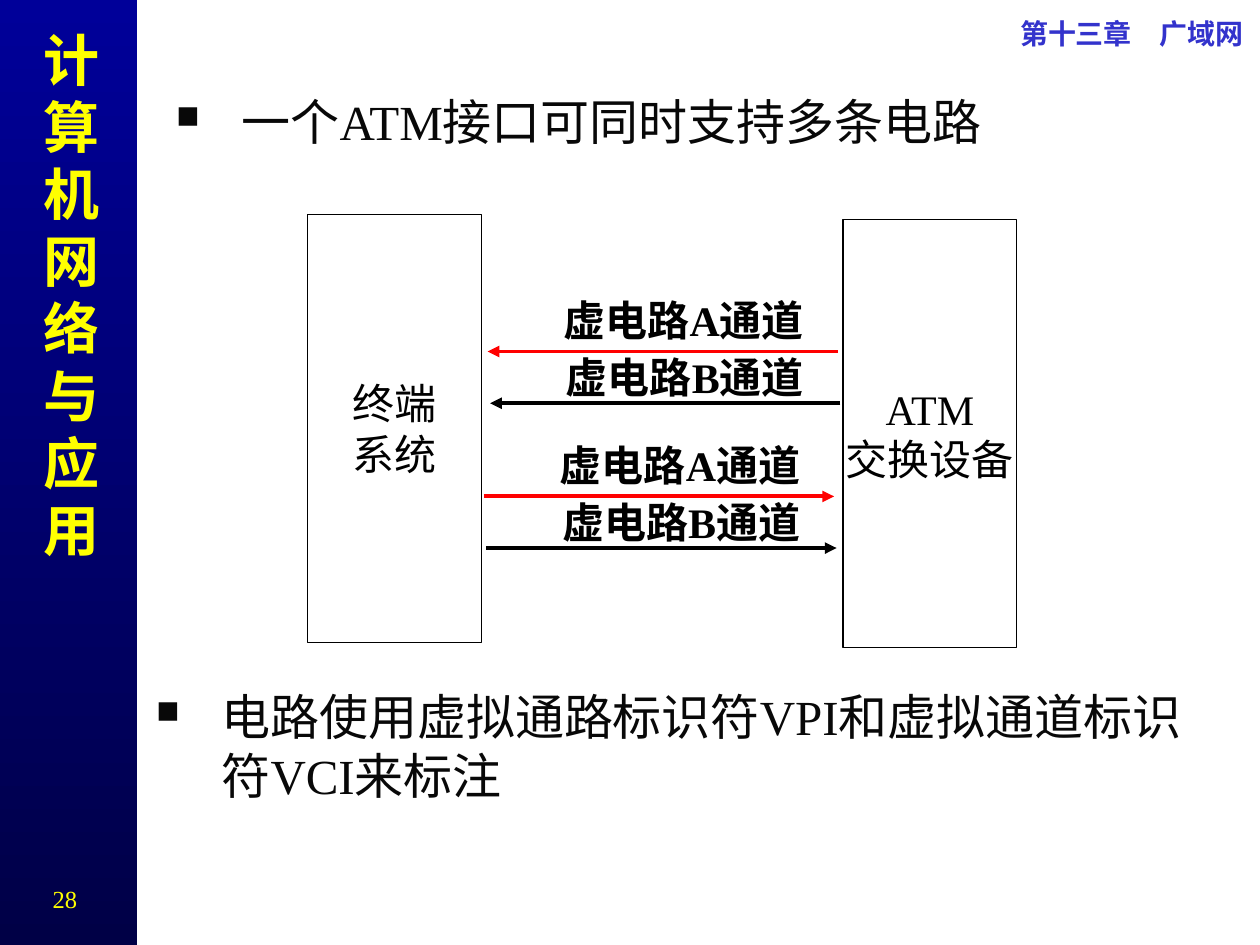
from lxml import etree
from pptx import Presentation, util as u
from pptx.dml.color import RGBColor
from pptx.enum import shapes, text
from pptx.oxml.ns import qn

COLORS = {"top": "000099", "bottom": "000046", "yellow": "FFFF00", "chapter": "3333CC",
          "body": "080808", "black": "000000", "red": "FF0000"}
FONT = "Times New Roman"
LEFT, CENTER, RIGHT = text.PP_ALIGN.LEFT, text.PP_ALIGN.CENTER, text.PP_ALIGN.RIGHT

COURSE = "计算机网络与应用"
CHAPTER = "第十三章　广域网"
PAGE = "28"
POINTS = [
    ("一个ATM接口可同时支持多条电路", (1.3, 0.68, 7.95, 0.55)),
    ("电路使用虚拟通路标识符VPI和虚拟通道标识符VCI来标注", (1.14, 5.4, 8.51, 1.02)),
]
DEVICES = [(["终端", "系统"], 2.44, 1.7), (["ATM", "交换设备"], 6.69, 1.74)]
DEVICE_SIZE = (1.38, 3.4)
CIRCUITS = [
    ("虚电路A通道", "red", 0, 0, -0.45, 2.07),
    ("虚电路B通道", "black", 0.02, 0.41, -0.41, 2.05),
]
DIRECTIONS = [("to terminal", 3.87, 2.79), ("to switch", 3.84, 3.94)]
CHANNEL_LENGTH = 2.78
LABEL_INDENT = 0.44


def rgb(name):
    return RGBColor.from_string(COLORS[name])


def inches(values):
    return [u.Inches(value) for value in values]


def write(frame, lines, size, color, align=LEFT, bold=False, inset=True, wrap=True):
    frame.word_wrap = wrap
    side, end = (0.1, 0.05) if inset else (0, 0)
    frame.margin_left = frame.margin_right = u.Inches(side)
    frame.margin_top = frame.margin_bottom = u.Inches(end)
    for index, line in enumerate(lines):
        paragraph = frame.add_paragraph() if index else frame.paragraphs[0]
        paragraph.text = line
        paragraph.alignment = align
        font = paragraph.font
        font.name, font.size, font.bold = FONT, u.Pt(size), bold
        font.color.rgb = rgb(color)


def add_text(slide, box, line, size, color, grow=False, **style):
    frame = slide.shapes.add_textbox(*inches(box)).text_frame
    write(frame, [line], size, color, **style)
    if grow:
        frame.auto_size = text.MSO_AUTO_SIZE.SHAPE_TO_FIT_TEXT
    return frame


def add_point(slide, line, box):
    frame = slide.shapes.add_textbox(*inches(box)).text_frame
    paragraph = frame.paragraphs[0]
    paragraph.space_after = u.Pt(7)
    props = paragraph._p.get_or_add_pPr()
    props.set("marL", str(u.Inches(0.52)))
    props.set("indent", str(-u.Inches(0.52)))
    bullet_color = etree.SubElement(props, qn("a:buClr"))
    etree.SubElement(bullet_color, qn("a:srgbClr"), val=COLORS["body"])
    etree.SubElement(props, qn("a:buSzPct"), val="65000")
    etree.SubElement(props, qn("a:buChar"), char="■")
    write(frame, [line], 28, "body")


def add_rectangle(slide, box):
    rectangle = slide.shapes.add_shape(shapes.MSO_SHAPE.RECTANGLE, *inches(box))
    rectangle.shadow.inherit = False
    return rectangle


def add_sidebar(slide):
    sidebar = add_rectangle(slide, (-0.02, 0, 1.11, 7.52))
    sidebar.line.fill.background()
    sidebar.fill.gradient()
    sidebar.fill.gradient_angle = 270
    for stop, position, color in zip(sidebar.fill.gradient_stops, (0, 1), ("top", "bottom")):
        stop.position = position
        stop.color.rgb = rgb(color)


def add_device(slide, lines, left, top):
    device = add_rectangle(slide, (left, top, *DEVICE_SIZE))
    device.fill.background()
    device.line.color.rgb = rgb("black")
    device.line.width = u.Pt(0.75)
    write(device.text_frame, lines, 24, "black", align=CENTER, wrap=False)
    device.text_frame.vertical_anchor = text.MSO_ANCHOR.MIDDLE


def add_arrow(slide, start, end, y, color):
    arrow = slide.shapes.add_connector(
        shapes.MSO_CONNECTOR.STRAIGHT, *inches((start, y, end, y)))
    arrow.line.color.rgb = rgb(color)
    arrow.line.width = u.Pt(2.25)
    etree.SubElement(arrow.line._get_or_add_ln(), qn("a:tailEnd"), type="triangle")
    etree.SubElement(arrow._element.spPr, qn("a:effectLst"))


def add_channels(slide, direction, left, top):
    for label, color, dx, dy, rise, width in CIRCUITS:
        x, y = left + dx, top + dy
        ends = (x, x + CHANNEL_LENGTH)
        start, end = ends if direction == "to switch" else ends[::-1]
        add_arrow(slide, start, end, y, color)
        add_text(slide, (x + LABEL_INDENT, y + rise, width, 0.4), label, 24, "black",
                 grow=True, align=RIGHT, bold=True, inset=False, wrap=False)


def main():
    deck = Presentation()
    deck.slide_width, deck.slide_height = inches((10, 7.5))
    slide = deck.slides.add_slide(deck.slide_layouts[6])
    add_sidebar(slide)
    add_text(slide, (0.14, 0.15, 0.75, 4.37), COURSE, 32, "yellow",
             grow=True, align=RIGHT, bold=True)
    add_text(slide, (7.53, 0.13, 2.34, 0.27), CHAPTER, 16, "chapter",
             grow=True, align=RIGHT, bold=True, inset=False)
    for device in DEVICES:
        add_device(slide, *device)
    for direction in DIRECTIONS:
        add_channels(slide, *direction)
    for point in POINTS:
        add_point(slide, *point)
    add_text(slide, (0.22, 6.97, 0.59, 0.34), PAGE, 14, "yellow", align=CENTER)
    deck.save("out.pptx")


if __name__ == "__main__":
    main()
